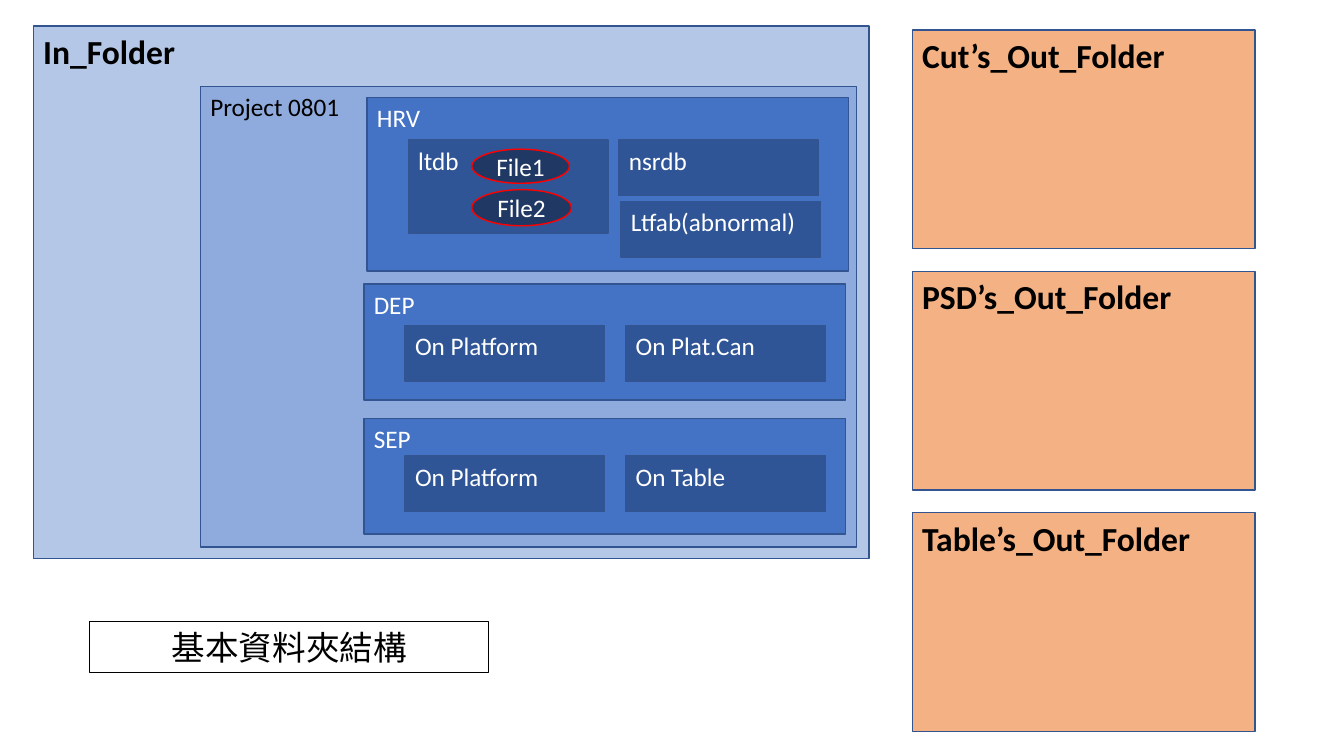
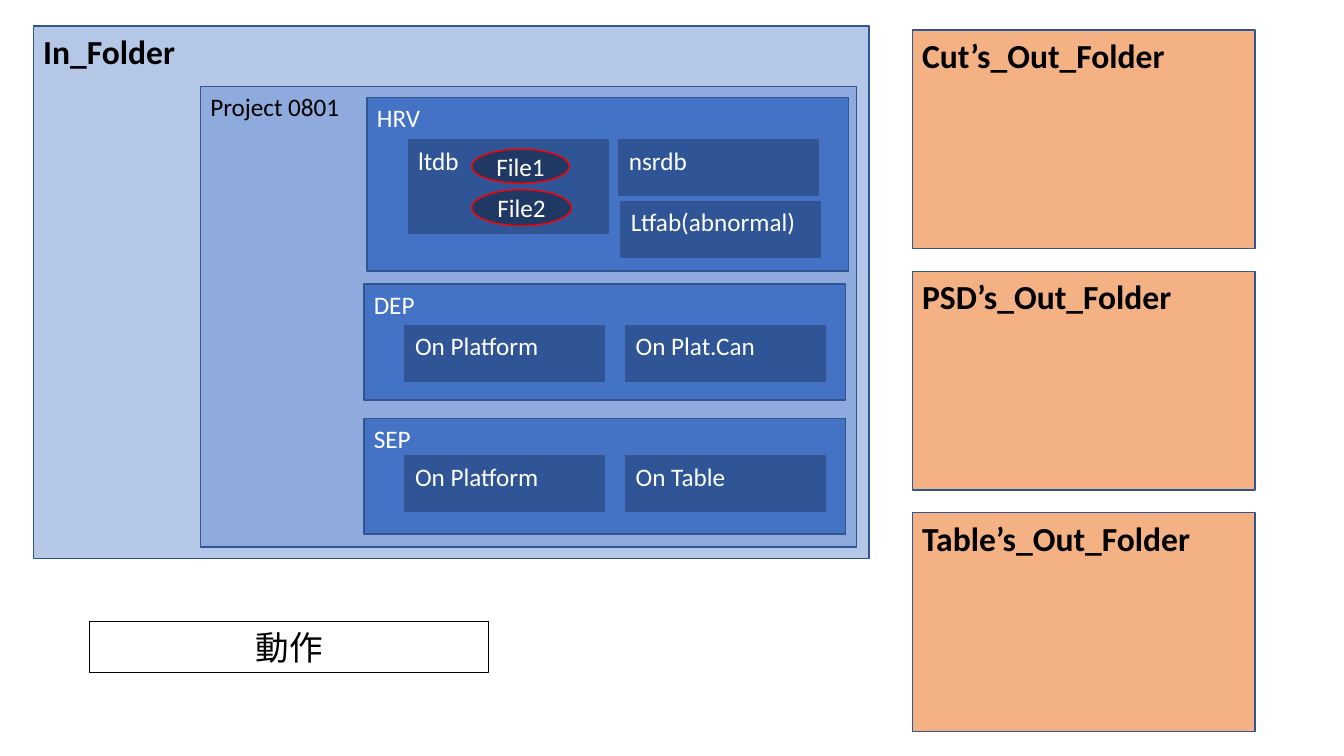
from pptx import Presentation
from pptx.dml.color import RGBColor
from pptx.enum.shapes import MSO_SHAPE
from pptx.enum.text import MSO_ANCHOR, MSO_AUTO_SIZE, PP_ALIGN
from pptx.util import Cm, Pt

RECT, OVAL = MSO_SHAPE.RECTANGLE, MSO_SHAPE.OVAL
TOP, MIDDLE = MSO_ANCHOR.TOP, MSO_ANCHOR.MIDDLE
LEFT, CENTER = PP_ALIGN.LEFT, PP_ALIGN.CENTER
GROW = MSO_AUTO_SIZE.SHAPE_TO_FIT_TEXT
FONT = "Calibri"
COLORS = {
    "input": "B4C7E7", "project": "8FAADC", "task": "4472C4",
    "data": "2F5597", "file": "203864", "output": "F4B183",
    "edge": "325491", "red": "FF0000", "black": "000000", "white": "FFFFFF",
}
DATA_W, DATA_H = 5.03, 1.4
TASK_W, TASK_H = 12.14, 2.92
OUT_TOP, OUT_STEP = 0.76, 6.08


def color(name):
    return RGBColor.from_string(COLORS[name])


def write(frame, text, size=18, ink="white", bold=False, align=LEFT,
          anchor=TOP, wrap=True):
    frame.word_wrap = wrap
    frame.vertical_anchor = anchor
    line = frame.paragraphs[0]
    line.alignment = align
    run = line.add_run()
    run.text = text
    font = run.font
    font.name, font.size, font.bold = FONT, Pt(size), bold
    font.color.rgb = color(ink)


class Deck:
    def __init__(self):
        self.file = Presentation()
        self.file.slide_width = Cm(33.87)
        self.file.slide_height = Cm(19.05)

    def page(self):
        self.slide = self.file.slides.add_slide(self.file.slide_layouts[6])
        self.shapes = self.slide.shapes

    def group(self):
        self.shapes = self.slide.shapes.add_group_shape().shapes

    def leave(self):
        self.shapes = self.slide.shapes

    def shape(self, kind, fill, edge, text, x, y, w, h, **style):
        item = self.shapes.add_shape(kind, Cm(x), Cm(y), Cm(w), Cm(h))
        item.shadow.inherit = False
        item.fill.solid()
        item.fill.fore_color.rgb = color(fill)
        item.line.color.rgb = color(edge)
        item.line.width = Pt(1)
        write(item.text_frame, text, **style)

    def folder(self, fill, text, x, y, w, h, **style):
        self.shape(RECT, fill, "edge", text, x, y, w, h, **style)

    def data(self, text, x, y, h=DATA_H):
        self.folder("data", text, x, y, DATA_W, h)

    def oval(self, text, x, y, w, h):
        self.shape(OVAL, "file", "red", text, x, y, w, h,
                   align=CENTER, anchor=MIDDLE, wrap=False)

    def caption(self, text):
        box = self.shapes.add_textbox(Cm(2.26), Cm(15.67), Cm(10.06), Cm(1.27))
        box.line.color.rgb = color("black")
        box.line.width = Pt(0.75)
        write(box.text_frame, text, size=24, ink="black", align=CENTER,
              anchor=MIDDLE)
        box.text_frame.auto_size = GROW


def add_hrv(deck):
    deck.folder("task", "HRV ", 9.25, 2.46, TASK_W, 4.37)
    deck.data("ltdb", 10.29, 3.53, 2.34)
    deck.data("nsrdb", 15.6, 3.53)
    deck.data("Ltfab(abnormal)", 15.65, 5.08)
    deck.oval("File1", 11.89, 3.76, 2.46, 0.86)
    deck.oval("File2", 11.89, 4.78, 2.51, 0.91)


def add_pair(deck, name, top, inner, second):
    deck.folder("task", name, 9.17, top, TASK_W, TASK_H)
    deck.data("On Platform", 10.21, inner)
    deck.data(second, 15.77, inner)


def add_dep(deck):
    add_pair(deck, "DEP", 7.16, 8.2, "On Plat.Can")


def add_sep(deck):
    add_pair(deck, "SEP", 10.54, 11.49, "On Table")


def build(deck, title, grouped):
    head = {"size": 24, "ink": "black", "bold": True}
    deck.page()
    deck.folder("input", "In_Folder", 0.84, 0.66, 21.06, 13.41, **head)
    deck.folder("project", "Project 0801", 5.05, 2.18, 16.54, 11.61, ink="black")
    for add in (add_dep, add_sep, add_hrv):
        if grouped:
            deck.group()
        add(deck)
    deck.leave()
    for i, name in enumerate(("Cut", "PSD", "Table")):
        deck.folder("output", f"{name}’s_Out_Folder", 22.99,
                    OUT_TOP + i * OUT_STEP, 8.64, 5.51, **head)
    deck.caption(title)


deck = Deck()
build(deck, "基本資料夾結構", False)
build(deck, "動作", True)
deck.file.save("out.pptx")
